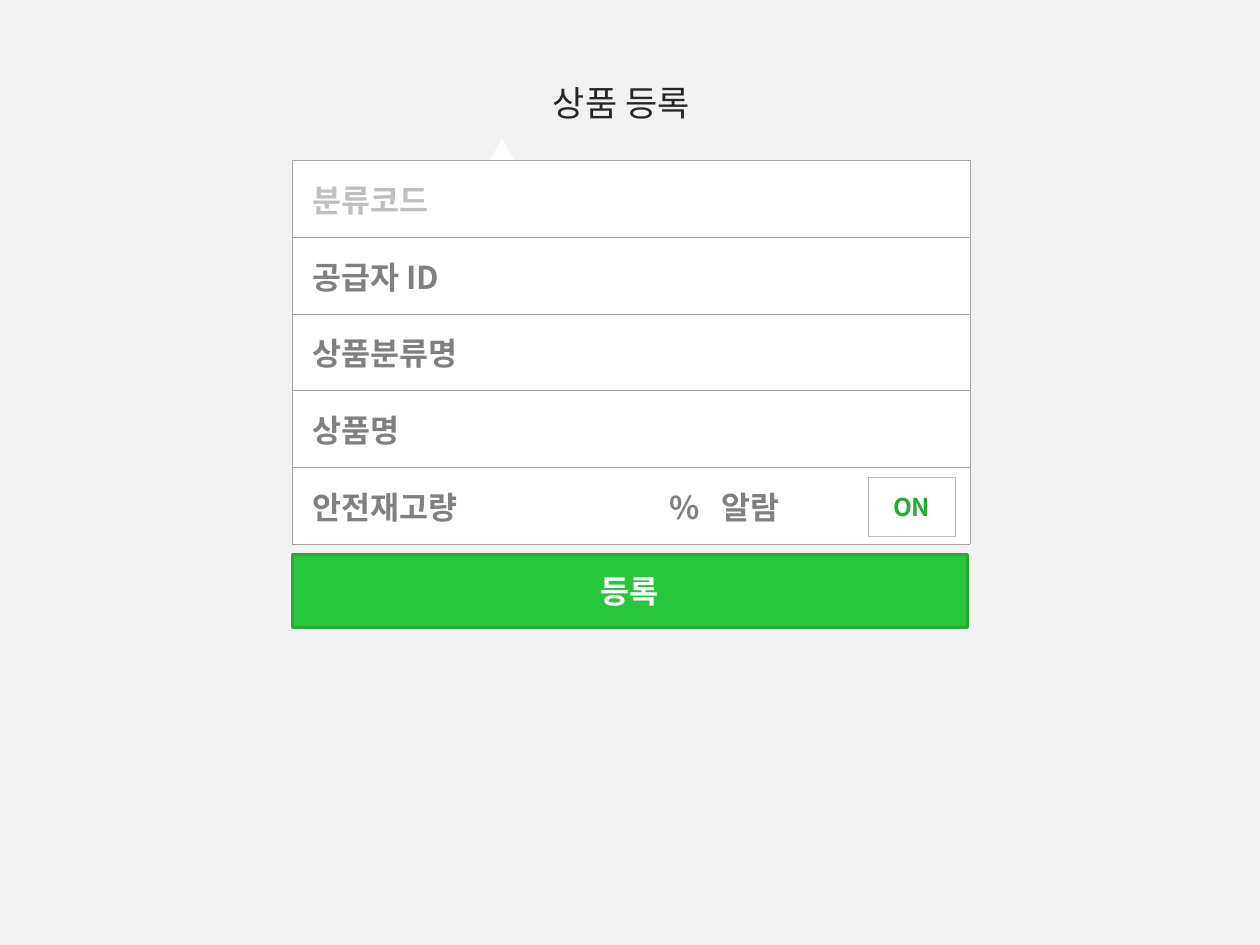
import pptx
import pptx.util
import pptx.dml.color
import pptx.enum.shapes
import pptx.enum.text
import pptx.oxml.ns
import lxml.etree

Inches = pptx.util.Inches
Pt = pptx.util.Pt
Kind = pptx.enum.shapes.MSO_SHAPE
Align = pptx.enum.text.PP_ALIGN
Middle = pptx.enum.text.MSO_ANCHOR.MIDDLE
qn = pptx.oxml.ns.qn

FONT = "Noto Sans CJK KR"
TITLE = "상품 등록"
FIELDS = [
    ("분류코드", "BFBFBF"),
    ("공급자 ID", "808080"),
    ("상품분류명", "808080"),
    ("상품명", "808080"),
    ("안전재고량\t%\t알람", "808080"),
]
TABS = [2.83, 3.25]
LEFT, TOP, WIDTH, ROW = 2.32, 1.27, 5.38, 0.61
PAD = 0.16
BUTTONS = [
    ("등록", (LEFT, 4.4, 5.36, 0.58), "29C53C", "24AC34", 2, 18, "FFFFFF"),
    ("ON", (6.89, 3.79, 0.69, 0.47), "FFFFFF", "BFBFBF", 0.25, 14, "24AC34"),
]


def color(code):
    return pptx.dml.color.RGBColor.from_string(code)


def paint(obj, code):
    obj.fill.solid()
    obj.fill.fore_color.rgb = color(code)


def write(para, text, size, code, bold=False):
    run = para.add_run()
    run.text = text
    run.font.size = Pt(size)
    run.font.bold = bold
    run.font.name = FONT
    run.font.color.rgb = color(code)
    east = lxml.etree.SubElement(run.font._element, qn("a:ea"))
    east.set("typeface", FONT)


def draw(slide, kind, box, code):
    shape = slide.shapes.add_shape(kind, *map(Inches, box))
    shape.shadow.inherit = False
    paint(shape, code)
    shape.line.fill.background()
    return shape


def border(cell, code, width):
    props = cell._tc.get_or_add_tcPr()
    for side in ("lnL", "lnR", "lnT", "lnB"):
        line = lxml.etree.SubElement(props, qn("a:" + side), w=str(Pt(width)))
        fill = lxml.etree.SubElement(line, qn("a:solidFill"))
        lxml.etree.SubElement(fill, qn("a:srgbClr"), val=code)


def add_tabs(para):
    stops = lxml.etree.SubElement(para._p.get_or_add_pPr(), qn("a:tabLst"))
    for pos in TABS:
        lxml.etree.SubElement(stops, qn("a:tab"), pos=str(Inches(pos)), algn="l")


def add_form(slide):
    count = len(FIELDS)
    box = (LEFT, TOP, WIDTH, ROW * count)
    table = slide.shapes.add_table(count, 1, *map(Inches, box)).table
    table.first_row = False
    table.horz_banding = False
    for row, (text, code) in enumerate(FIELDS):
        table.rows[row].height = Inches(ROW)
        cell = table.cell(row, 0)
        cell.vertical_anchor = Middle
        cell.margin_left = Inches(PAD)
        border(cell, "A6A6A6", 0.25)
        paint(cell, "FFFFFF")
        para = cell.text_frame.paragraphs[0]
        if "\t" in text:
            add_tabs(para)
        write(para, text, 18, code, True)


def add_title(slide):
    frame = slide.shapes.add_textbox(*map(Inches, (4.29, 0.6, 1.42, 0.44))).text_frame
    frame.word_wrap = False
    frame.auto_size = pptx.enum.text.MSO_AUTO_SIZE.SHAPE_TO_FIT_TEXT
    write(frame.paragraphs[0], TITLE, 20, "262626")


def add_button(slide, text, box, fill, edge, width, size, ink):
    shape = draw(slide, Kind.RECTANGLE, box, fill)
    shape.line.color.rgb = color(edge)
    shape.line.width = Pt(width)
    frame = shape.text_frame
    frame.word_wrap = True
    frame.vertical_anchor = Middle
    para = frame.paragraphs[0]
    para.alignment = Align.CENTER
    write(para, text, size, ink, True)


def main():
    deck = pptx.Presentation()
    deck.slide_width, deck.slide_height = Inches(10), Inches(7.5)
    slide = deck.slides.add_slide(deck.slide_layouts[6])
    paint(slide.background, "F2F2F2")
    draw(slide, Kind.ISOSCELES_TRIANGLE, (3.85, 1.1, 0.27, 0.24), "FFFFFF")
    add_title(slide)
    add_form(slide)
    for button in BUTTONS:
        add_button(slide, *button)
    deck.save("out.pptx")


if __name__ == "__main__":
    main()
